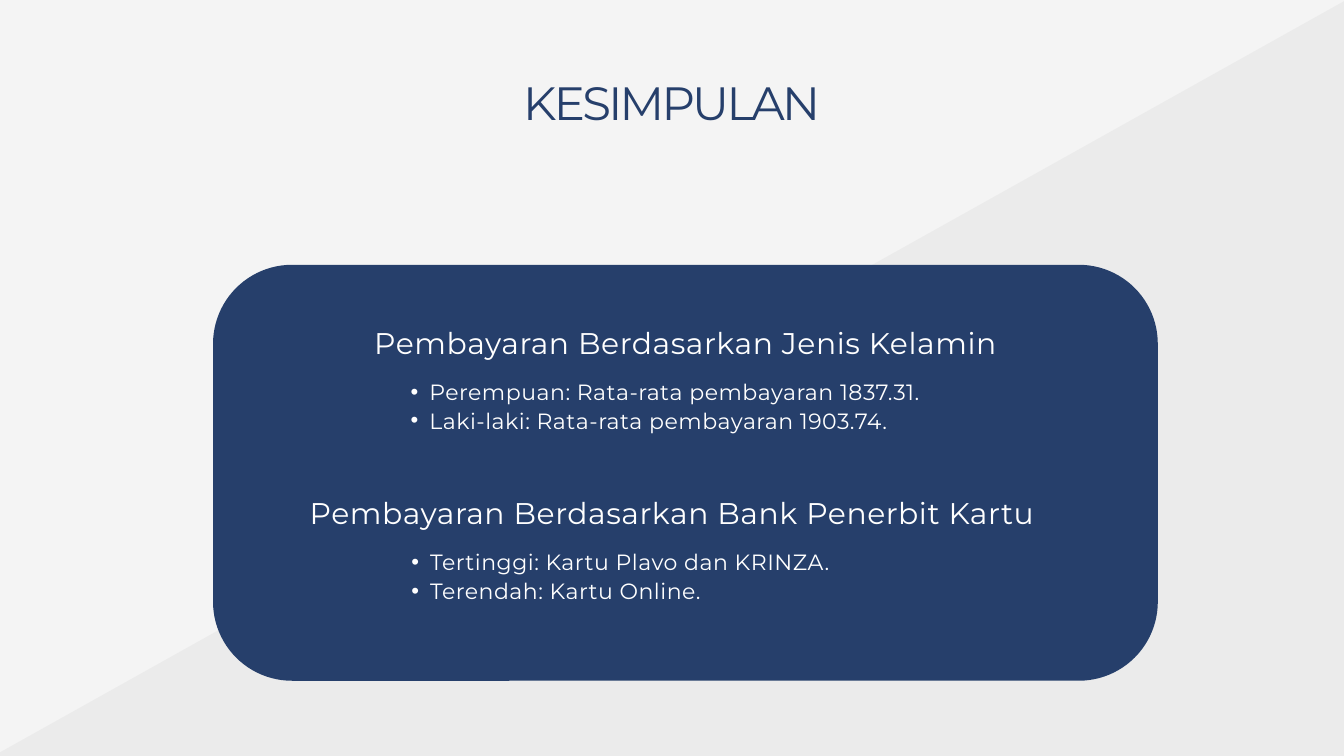
import pptx
import pptx.util
import pptx.dml.color
import pptx.enum.shapes
import pptx.enum.text
import pptx.oxml.ns
from lxml import etree

Inches = pptx.util.Inches
Pt = pptx.util.Pt
RGBColor = pptx.dml.color.RGBColor
MSO_SHAPE = pptx.enum.shapes.MSO_SHAPE
PP_ALIGN = pptx.enum.text.PP_ALIGN
qn = pptx.oxml.ns.qn

NAVY = RGBColor(0x26, 0x3F, 0x6B)
WHITE = RGBColor(0xFF, 0xFF, 0xFF)
PALE = RGBColor(0xF4, 0xF4, 0xF4)
GREY = RGBColor(0x54, 0x54, 0x54)


def prepare(box):
    """Strip the margins and wrap the text from the top; return the frame."""
    frame = box.text_frame
    frame.margin_left = frame.margin_right = 0
    frame.margin_top = frame.margin_bottom = 0
    frame.word_wrap = True
    frame.auto_size = pptx.enum.text.MSO_AUTO_SIZE.SHAPE_TO_FIT_TEXT
    frame.vertical_anchor = pptx.enum.text.MSO_ANCHOR.TOP
    return frame


def write(para, text, size, color, line, tracking, align):
    """Add one formatted run to a paragraph."""
    para.alignment = align
    para.line_spacing = Pt(line)
    span = para.add_run()
    span.text = text
    span.font.name = "Montserrat"
    span.font.size = Pt(size)
    span.font.color.rgb = color
    span.font._element.set("spc", str(round(tracking * 100)))


deck = pptx.Presentation()
deck.slide_width = Inches(20)
deck.slide_height = Inches(11.25)
page = deck.slides.add_slide(deck.slide_layouts[5])
page.background.fill.solid()
page.background.fill.fore_color.rgb = PALE

# Diagonal shade
shade = page.shapes.add_shape(MSO_SHAPE.RECTANGLE, Inches(-1.22), Inches(4.76),
                              Inches(28.2), Inches(10.48))
shade.rotation = 330.8
shade.shadow.inherit = False
shade.line.fill.background()
shade.fill.solid()
shade.fill.fore_color.rgb = GREY
shade_color = shade._element.spPr.find(".//" + qn("a:srgbClr"))
etree.SubElement(shade_color, qn("a:alpha"), val="5000")

# Title
title = page.shapes.title
title.left, title.top = Inches(2.33), Inches(1.25)
title.width, title.height = Inches(15.33), Inches(0.7)
write(prepare(title).paragraphs[0], "KESIMPULAN", 50, NAVY, 49, -2.9, PP_ALIGN.CENTER)

# Rounded panel
panel = page.shapes.add_shape(MSO_SHAPE.ROUNDED_RECTANGLE, Inches(3.17), Inches(3.94),
                              Inches(14.06), Inches(6.19))
panel.adjustments[0] = 0.19
panel.shadow.inherit = False
panel.line.fill.background()
panel.fill.solid()
panel.fill.fore_color.rgb = NAVY

# Findings: a heading with its bullets underneath
findings = [
    (4.78, 3.66, 5.83, "Pembayaran Berdasarkan Jenis Kelamin",
     ["Perempuan: Rata-rata pembayaran 1837.31.",
      "Laki-laki: Rata-rata pembayaran 1903.74."]),
    (7.31, 3.46, 5.84, "Pembayaran Berdasarkan Bank Penerbit Kartu",
     ["Tertinggi: Kartu Plavo dan KRINZA.",
      "Terendah: Kartu Online."]),
]
for top, heading_left, list_left, heading, points in findings:
    box = page.shapes.add_textbox(Inches(heading_left), Inches(top),
                                  Inches(13.09), Inches(0.56))
    write(prepare(box).paragraphs[0], heading, 32, WHITE, 41.6, 0.6, PP_ALIGN.CENTER)

    box = page.shapes.add_textbox(Inches(list_left), Inches(top + 0.82),
                                  Inches(8.72), Inches(0.84))
    frame = prepare(box)
    for index, point in enumerate(points):
        para = frame.add_paragraph() if index else frame.paragraphs[0]
        para.level = 1
        properties = para._p.get_or_add_pPr()
        properties.set("marL", str(Inches(0.56)))
        properties.set("indent", str(Inches(-0.28)))
        etree.SubElement(properties, qn("a:buFont"), typeface="Arial")
        etree.SubElement(properties, qn("a:buChar"), char="•")
        write(para, point, 23.6, WHITE, 30.7, 0.5, PP_ALIGN.LEFT)

deck.save("out.pptx")
